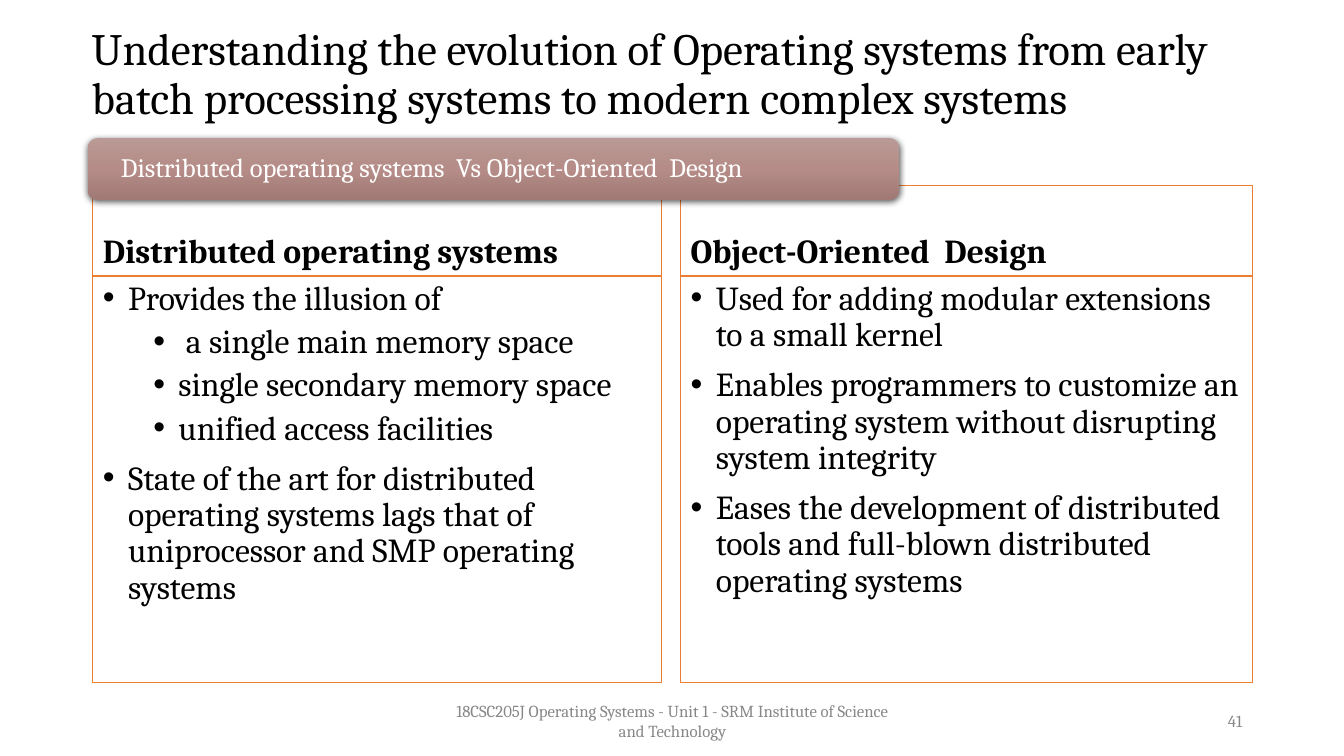
"""Build a slide comparing distributed operating systems with object-oriented design."""
from dataclasses import dataclass

from lxml.etree import SubElement
from pptx import Presentation
from pptx.dml.color import RGBColor
from pptx.enum.shapes import MSO_SHAPE
from pptx.enum.text import MSO_ANCHOR, MSO_AUTO_SIZE, PP_ALIGN
from pptx.oxml.ns import qn
from pptx.util import Inches, Pt


@dataclass(frozen=True)
class Theme:
    font: str = "Cambria"
    ink: str = "000000"
    paper: str = "FFFFFF"
    accent: str = "ED7D31"
    muted: str = "888888"
    banner: tuple = ((0, "BA9A96"), (50, "B58C87"), (100, "A17975"))
    title_size: int = 32
    body_size: int = 24
    banner_size: int = 19
    footer_size: int = 12


def add_bullet(p, level, color):
    pPr = p._p.get_or_add_pPr()
    pPr.set("marL", str(Inches(0.25 + 0.5 * level)))
    pPr.set("indent", str(Inches(-0.25)))
    clr = SubElement(pPr, qn("a:buClr"))
    SubElement(clr, qn("a:srgbClr"), val=color)
    SubElement(pPr, qn("a:buFont"), typeface="Arial")
    SubElement(pPr, qn("a:buChar"), char="•")


def write(tf, items, font, size, color, bold=False, align=PP_ALIGN.LEFT,
          anchor=MSO_ANCHOR.TOP, spacing=0.9, bullets=False):
    tf.word_wrap = True
    tf.auto_size = MSO_AUTO_SIZE.NONE
    tf.vertical_anchor = anchor
    for i, (level, text) in enumerate(items):
        p = tf.add_paragraph() if i else tf.paragraphs[0]
        if bullets:
            add_bullet(p, level, color)
        p.level = level
        p.alignment = align
        p.line_spacing = spacing
        p.space_before = Pt(0 if i == 0 else 5 if level else 10)
        r = p.add_run()
        r.text = text
        r.font.name = font
        r.font.size = Pt(size)
        r.font.bold = bold
        r.font.color.rgb = RGBColor.from_string(color)


class SlideBuilder:
    def __init__(self, prs, theme):
        self.theme = theme
        self.slide = prs.slides.add_slide(prs.slide_layouts[4])

    def place(self, idx, box):
        sp = self.slide.placeholders[idx]
        sp.left, sp.top, sp.width, sp.height = map(Inches, box)
        return sp

    def title(self, text, box):
        t = self.theme
        tf = self.place(0, box).text_frame
        tf.margin_top = 0
        write(tf, [(0, text)], t.font, t.title_size, t.ink)

    def panel(self, idx, box, items, **fmt):
        t = self.theme
        sp = self.place(idx, box)
        sp.fill.solid()
        sp.fill.fore_color.rgb = RGBColor.from_string(t.paper)
        sp.line.color.rgb = RGBColor.from_string(t.accent)
        sp.line.width = Pt(1)
        write(sp.text_frame, items, t.font, t.body_size, t.ink, **fmt)

    def column(self, idx, left, width, heading, items):
        self.panel(idx, (left, 1.84, width, 0.9), [(0, heading)],
                   bold=True, anchor=MSO_ANCHOR.BOTTOM)
        self.panel(idx + 1, (left, 2.74, width, 4.03), items, bullets=True)

    def footer(self, text, box, align):
        t = self.theme
        tb = self.slide.shapes.add_textbox(*map(Inches, box))
        write(tb.text_frame, [(0, text)], t.font, t.footer_size, t.muted,
              align=align, anchor=MSO_ANCHOR.MIDDLE, spacing=1.0)

    def banner(self, text, box):
        t = self.theme
        sp = self.slide.shapes.add_shape(MSO_SHAPE.ROUNDED_RECTANGLE, *map(Inches, box))
        sp.line.fill.background()
        sp.fill.gradient()
        sp.fill.gradient_angle = 270
        spPr = sp._element.spPr
        stops = spPr.find(f".//{qn('a:gsLst')}")
        for gs in list(stops):
            stops.remove(gs)
        for pos, color in t.banner:
            gs = SubElement(stops, qn("a:gs"), pos=str(pos * 1000))
            SubElement(gs, qn("a:srgbClr"), val=color)
        sp.shadow.inherit = False
        shadow = SubElement(spPr.find(qn("a:effectLst")), qn("a:outerShdw"),
                            blurRad=str(Pt(4.5)), dist=str(Pt(1.5)),
                            dir="5400000", algn="ctr", rotWithShape="0")
        clr = SubElement(shadow, qn("a:srgbClr"), val=t.ink)
        SubElement(clr, qn("a:alpha"), val="63000")
        tf = sp.text_frame
        tf.margin_left = tf.margin_right = Inches(0.3)
        tf.margin_top = tf.margin_bottom = 0
        write(tf, [(0, text)], t.font, t.banner_size, t.paper, anchor=MSO_ANCHOR.MIDDLE)


def main():
    prs = Presentation()
    prs.slide_width, prs.slide_height = Inches(13.33), Inches(7.5)
    s = SlideBuilder(prs, Theme())
    s.title("Understanding the evolution of Operating systems from early "
            "batch processing systems to modern complex systems", (0.81, 0.27, 11.5, 1.45))
    s.column(1, 0.92, 5.64, "Distributed operating systems", [
        (0, "Provides the illusion of"),
        (1, " a single main memory space"),
        (1, "single secondary memory space"),
        (1, "unified access facilities"),
        (0, "State of the art for distributed operating systems lags that of "
            "uniprocessor and SMP operating systems"),
    ])
    s.column(3, 6.75, 5.67, "Object-Oriented  Design", [
        (0, "Used for adding modular extensions to a small kernel"),
        (0, "Enables programmers to customize an operating system without "
            "disrupting system integrity"),
        (0, "Eases the development of distributed tools and full-blown "
            "distributed operating systems"),
    ])
    s.footer("18CSC205J Operating Systems - Unit 1 - SRM Institute of Science and Technology",
             (4.42, 6.95, 4.5, 0.4), PP_ALIGN.CENTER)
    s.footer("41", (9.42, 6.95, 3, 0.4), PP_ALIGN.RIGHT)
    s.banner("Distributed operating systems  Vs Object-Oriented  Design",
             (0.87, 1.37, 8.05, 0.61))
    prs.save("out.pptx")


if __name__ == "__main__":
    main()
